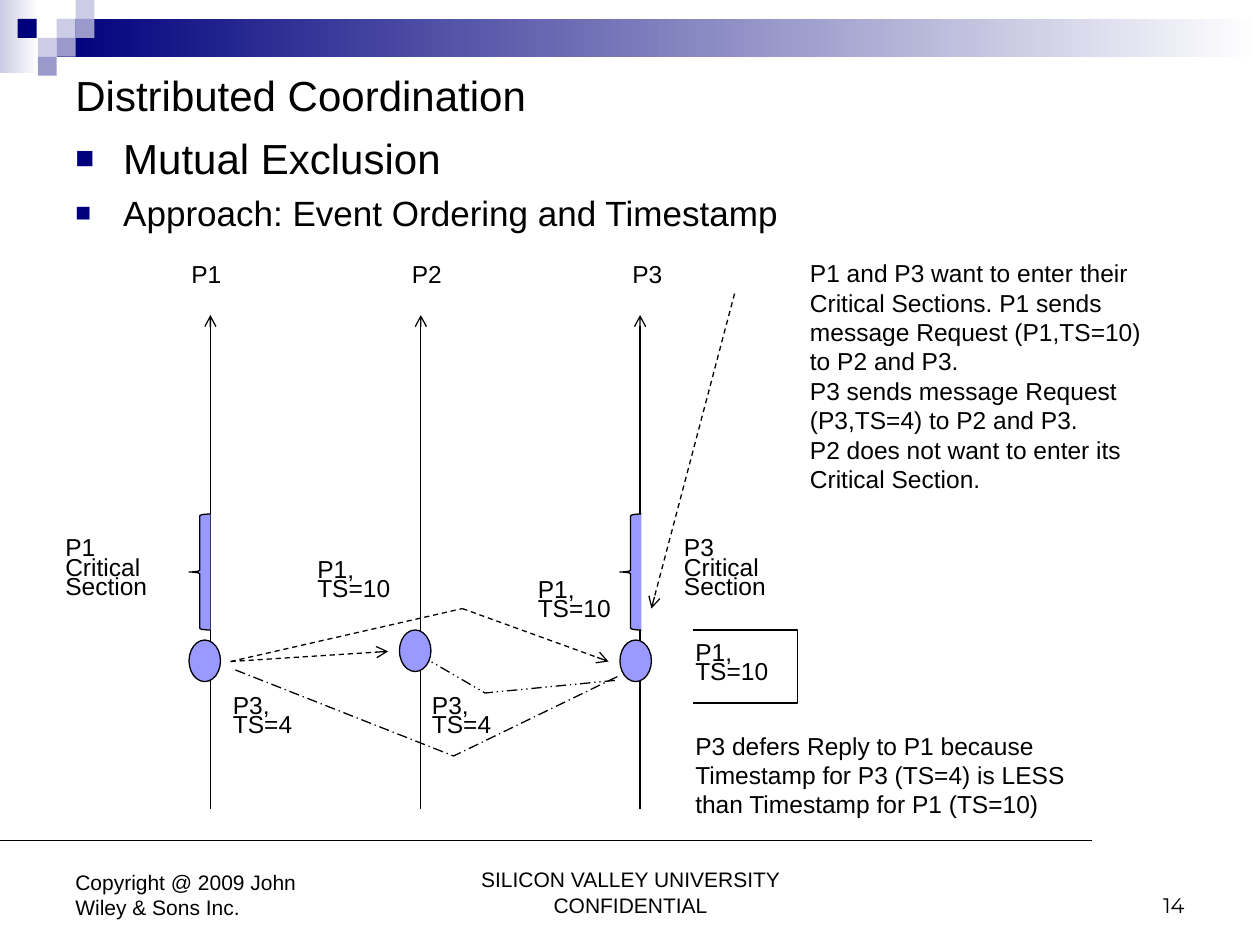
from dataclasses import dataclass

from lxml import etree
from pptx import Presentation
from pptx.dml.color import RGBColor
from pptx.enum.dml import MSO_LINE
from pptx.enum.shapes import MSO_CONNECTOR, MSO_SHAPE
from pptx.enum.text import MSO_ANCHOR, PP_ALIGN
from pptx.oxml.ns import qn
from pptx.util import Inches, Pt

RECT, OVAL, BRACE = MSO_SHAPE.RECTANGLE, MSO_SHAPE.OVAL, MSO_SHAPE.LEFT_BRACE
STRAIGHT = MSO_CONNECTOR.STRAIGHT
DASH, DASH_DOT, DASH_DOT_DOT = MSO_LINE.DASH, MSO_LINE.LONG_DASH_DOT, MSO_LINE.DASH_DOT_DOT
TOP, MIDDLE, BOTTOM = MSO_ANCHOR.TOP, MSO_ANCHOR.MIDDLE, MSO_ANCHOR.BOTTOM
LEFT, CENTER, RIGHT = PP_ALIGN.LEFT, PP_ALIGN.CENTER, PP_ALIGN.RIGHT


@dataclass(frozen=True)
class Theme:
    ink: str = "000000"
    navy: str = "00007D"
    lilac: str = "CCCCE6"
    violet: str = "9999CC"
    event: str = "9999FF"
    white: str = "FFFFFF"
    font: str = "Arial"
    number_font: str = "Montserrat"
    title: int = 24
    sub: int = 20
    label: int = 14
    footer: int = 12
    line: float = 0.75
    tight: float = 0.65


T = Theme()


@dataclass(frozen=True)
class Label:
    text: str
    x: float
    y: float
    w: float
    h: float
    size: int = T.label
    spacing: float = 1.0
    align: PP_ALIGN = LEFT
    anchor: MSO_ANCHOR = TOP
    font: str = T.font


@dataclass(frozen=True)
class Link:
    start: tuple
    end: tuple
    arrow: bool = True
    dash: MSO_LINE | None = None


@dataclass(frozen=True)
class Path:
    points: tuple
    dash: MSO_LINE | None = None


TILE = 0.15
TILES = [(0.45, 0.15, T.lilac), (0.6, 0, T.lilac), (0.6, 0.15, T.violet), (0.3, 0.3, T.lilac),
         (0.14, 0.15, T.navy), (0.45, 0.3, T.violet), (0.3, 0.45, T.violet)]
TIMELINES = [1.67, 3.34, 5.08]
BRACES = [1.5, 4.92]
EVENTS = [(1.5, 5.08), (4.92, 5.08), (3.17, 5)]
LINKS = [
    Link((0, 6.67), (8.67, 6.67), arrow=False),
    Link((1.83, 5.25), (3.08, 5.17), dash=DASH),
    Link((1.83, 5.25), (3.67, 4.83), arrow=False, dash=DASH),
    Link((3.67, 4.83), (4.83, 5.25), dash=DASH),
    Link((5.83, 2.33), (5.17, 4.83), dash=DASH),
]
PATHS = [
    Path(((4.88, 5.4), (3.85, 5.5), (3.42, 5.25)), DASH_DOT_DOT),
    Path(((4.9, 5.37), (3.6, 6), (1.85, 5.31)), DASH_DOT),
    Path(((5.5, 5), (6.33, 5), (6.33, 5.58), (5.5, 5.58))),
]
MESSAGES = [("P1, TS=10", 2.42, 4.42), ("P1, TS=10", 4.17, 4.58), ("P3, TS=4", 3.33, 5.5),
            ("P3, TS=4", 1.75, 5.5), ("P1, TS=10", 5.42, 5.08)]
SECTIONS = [("P3 Critical Section", 5.33), ("P1 Critical Section", 0.42)]
SCENARIO = "\n".join([
    "P1 and P3 want to enter their Critical Sections. P1 sends message Request (P1,TS=10) "
    "to P2 and P3.",
    "P3 sends message Request (P3,TS=4) to P2 and P3.",
    "P2 does not want to enter its Critical Section.",
])
LABELS = [
    Label("SILICON VALLEY UNIVERSITY CONFIDENTIAL", 3.42, 6.83, 3.17, 0.5, T.footer,
          align=CENTER, anchor=BOTTOM),
    Label("14", 7.17, 6.83, 2.33, 0.5, T.footer, align=RIGHT, anchor=BOTTOM, font=T.number_font),
    Label("Copyright @ 2009 John Wiley & Sons Inc.", 0.5, 6.83, 2.33, 0.52, T.footer, anchor=BOTTOM),
    Label("Distributed Coordination", 0.5, 0.5, 9, 0.5, T.title, anchor=MIDDLE),
    Label("P3 defers Reply to P1 because Timestamp for P3 (TS=4) is LESS than Timestamp "
          "for P1 (TS=10)", 5.42, 5.75, 3.33, 0.8),
    Label(SCENARIO, 6.33, 2, 3, 2),
    *[Label(text, x, 4.25, 1.07, 0.56, spacing=T.tight) for text, x in SECTIONS],
    *[Label(text, x, y, 0.83, 0.41, spacing=T.tight) for text, x, y in MESSAGES],
]


def rgb(value: str) -> RGBColor:
    return RGBColor.from_string(value)


def add_child(parent, tag: str, **attrs: str):
    return etree.SubElement(parent, qn(tag), attrs)


def style_line(line, dash: MSO_LINE | None = None) -> None:
    line.color.rgb = rgb(T.ink)
    line.width = Pt(T.line)
    if dash is not None:
        line.dash_style = dash


def draw_shape(slide, kind: MSO_SHAPE, x: float, y: float, w: float, h: float, fill: str,
               outlined: bool = False, fade: str | None = None) -> None:
    s = slide.shapes.add_shape(kind, Inches(x), Inches(y), Inches(w), Inches(h))
    s.shadow.inherit = False
    if fade:
        s.fill.gradient()
        s.fill.gradient_angle = 0
        for stop, color, position in zip(s.fill.gradient_stops, (fill, fade), (0, 1)):
            stop.color.rgb = rgb(color)
            stop.position = position
    else:
        s.fill.solid()
        s.fill.fore_color.rgb = rgb(fill)
    if outlined:
        style_line(s.line)
    else:
        s.line.fill.background()


def draw_link(slide, link: Link) -> None:
    s = slide.shapes.add_connector(STRAIGHT, *map(Inches, link.start + link.end))
    style_line(s.line, link.dash)
    if link.arrow:
        add_child(s.line._get_or_add_ln(), "a:tailEnd", type="arrow")
    add_child(s._element.spPr, "a:effectLst")


def draw_path(slide, path: Path) -> None:
    points = [(Inches(x), Inches(y)) for x, y in path.points]
    builder = slide.shapes.build_freeform(*points[0])
    builder.add_line_segments(points[1:], close=False)
    s = builder.convert_to_shape()
    s.shadow.inherit = False
    s.fill.background()
    style_line(s.line, path.dash)


def draw_label(slide, label: Label):
    s = slide.shapes.add_textbox(*map(Inches, (label.x, label.y, label.w, label.h)))
    tf = s.text_frame
    tf.word_wrap = True
    tf.vertical_anchor = label.anchor
    tf.text = label.text
    for p in tf.paragraphs:
        p.alignment = label.align
        p.line_spacing = label.spacing
        for r in p.runs:
            r.font.name = label.font
            r.font.size = Pt(label.size)
            r.font.color.rgb = rgb(T.ink)
    return tf


def draw_bullets(slide) -> None:
    tf = draw_label(slide, Label("Mutual Exclusion\nApproach: Event Ordering and Timestamp",
                                 0.5, 1, 9, 1, T.title))
    for p in tf.paragraphs:
        pPr = p._p.get_or_add_pPr()
        pPr.set("marL", str(Inches(0.38)))
        pPr.set("indent", str(Inches(-0.38)))
        add_child(add_child(pPr, "a:buClr"), "a:srgbClr", val=T.navy)
        add_child(pPr, "a:buSzPct", val="75000")
        add_child(pPr, "a:buFont", typeface=T.font)
        add_child(pPr, "a:buChar", char="■")
    second = tf.paragraphs[1]
    second.space_before = Pt(5)
    second.runs[0].font.size = Pt(T.sub)


def draw_process_names(slide) -> None:
    tf = draw_label(slide, Label("P1\tP2\tP3", 1.42, 2.08, 4.25, 0.25, spacing=T.tight))
    tabs = add_child(tf.paragraphs[0]._p.get_or_add_pPr(), "a:tabLst")
    for column in (1, 2):
        add_child(tabs, "a:tab", pos=str(Inches(1.75 * column)), algn="l")


def main() -> None:
    """Build the distributed mutual exclusion slide."""
    prs = Presentation()
    prs.slide_width, prs.slide_height = Inches(10), Inches(7.5)
    slide = prs.slides.add_slide(prs.slide_layouts[6])
    draw_shape(slide, RECT, 0, 0, 0.31, 0.58, T.lilac, fade=T.white)
    draw_shape(slide, RECT, 0.45, 0.15, 9.55, 0.3, T.navy, fade=T.white)
    for x, y, color in TILES:
        draw_shape(slide, RECT, x, y, TILE, TILE, color)
    for x in TIMELINES:
        draw_link(slide, Link((x, 6.42), (x, 2.5)))
    for x in BRACES:
        draw_shape(slide, BRACE, x, 4.08, 0.17, 0.92, T.event, outlined=True)
    for link in LINKS:
        draw_link(slide, link)
    for path in PATHS:
        draw_path(slide, path)
    for x, y in EVENTS:
        draw_shape(slide, OVAL, x, y, 0.25, 0.33, T.event, outlined=True)
    draw_bullets(slide)
    draw_process_names(slide)
    for label in LABELS:
        draw_label(slide, label)
    prs.save("out.pptx")


if __name__ == "__main__":
    main()
